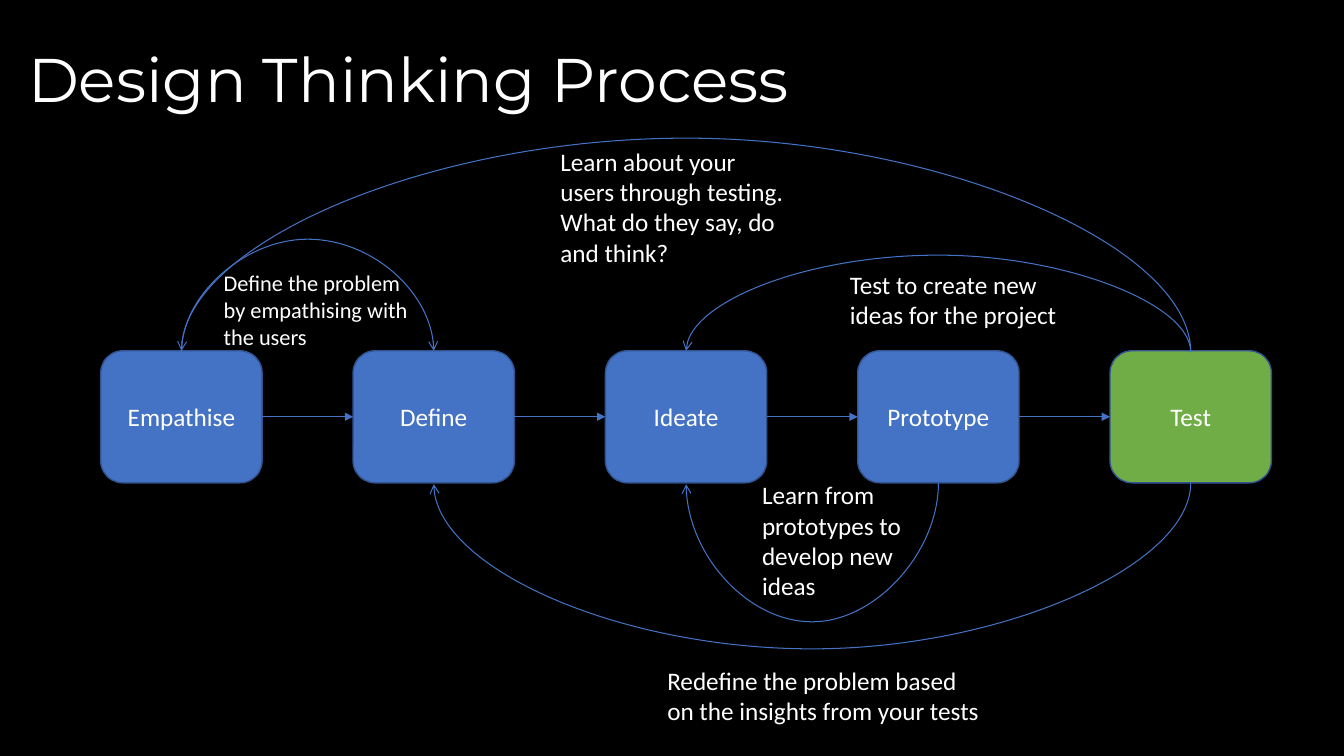
from lxml import etree
from pptx import Presentation
from pptx import util as u
from pptx.dml.color import RGBColor
from pptx.enum import shapes, text
from pptx.oxml import ns

PX = u.Inches(1) / 100
COLORS = {"black": "000000", "white": "FFFFFF", "blue": "4472C4",
          "green": "70AD47", "border": "325491"}

STAGES = ["Empathise", "Define", "Ideate", "Prototype", "Test"]
FIRST_LEFT, LAST_LEFT = 100, 1101
STAGE_TOP, STAGE_WIDTH, STAGE_HEIGHT = 348, 160, 131
TOP_SITE, LEFT_SITE, BOTTOM_SITE, RIGHT_SITE = range(4)
CURVE_THICKNESS = u.Pt(1)

# from stage, to stage, above the row, depth
LOOPS = [
    ("Empathise", "Define", True, 113),
    ("Test", "Empathise", True, 214),
    ("Test", "Ideate", True, 97),
    ("Prototype", "Ideate", False, 139),
    ("Test", "Define", False, 166),
]

# left, top, width, height, size, paragraphs
NOTES = [
    (546, 140, 250, 131, 18, ["Learn about your users through testing.",
                              "What do they say, do and think?"]),
    (833, 262, 232, 71, 18, ["Test to create new ideas for the project"]),
    (212, 262, 211, 91, 16, ["Define the problem by empathising with the users"]),
    (652, 655, 330, 71, 18,
     ["Redefine the problem based on the insights from your tests"]),
    (746, 471, 207, 131, 18, ["Learn from prototypes to develop new ideas"]),
]


def px(length):
    return u.Emu(round(length * PX))


def color(name):
    return RGBColor.from_string(COLORS[name])


def style(para, size, font="Calibri"):
    para.font.size = u.Pt(size)
    para.font.name = font
    para.font.color.rgb = color("white")


def add_text(page, left, top, width, height, size, lines, font="Calibri"):
    box = page.shapes.add_textbox(px(left), px(top), px(width), px(height))
    frame = box.text_frame
    frame.word_wrap = True
    frame.text = "\n".join(lines)
    for para in frame.paragraphs:
        style(para, size, font)
    return frame


def add_title(page, title):
    frame = add_text(page, 18, 9, 1150, 145, 44, [title], "Montserrat")
    frame.vertical_anchor = text.MSO_ANCHOR.MIDDLE
    frame.paragraphs[0].line_spacing = 0.9


def add_stage(page, index, name):
    left = FIRST_LEFT + index * (LAST_LEFT - FIRST_LEFT) / (len(STAGES) - 1)
    stage = page.shapes.add_shape(
        shapes.MSO_SHAPE.ROUNDED_RECTANGLE,
        px(left), px(STAGE_TOP), px(STAGE_WIDTH), px(STAGE_HEIGHT))
    stage.shadow.inherit = False
    stage.fill.solid()
    stage.fill.fore_color.rgb = color("green" if name == "Test" else "blue")
    stage.line.color.rgb = color("border")
    stage.line.width = u.Pt(1)
    stage.text_frame.vertical_anchor = text.MSO_ANCHOR.MIDDLE
    para = stage.text_frame.paragraphs[0]
    para.text = name
    para.alignment = text.PP_ALIGN.CENTER
    style(para, 18)
    return stage


def add_arrow(page, kind, start, start_site, end, end_site, width, head):
    arrow = page.shapes.add_connector(kind, 0, 0, 0, 0)
    arrow.begin_connect(start, start_site)
    arrow.end_connect(end, end_site)
    arrow.line.color.rgb = color("blue")
    arrow.line.width = u.Pt(width)
    properties = arrow.element.spPr
    line = properties.find(ns.qn("a:ln"))
    etree.SubElement(line, ns.qn("a:tailEnd"), type=head)
    etree.SubElement(properties, ns.qn("a:effectLst"))
    return arrow


def add_loop(page, start, end, above, depth):
    """Bow a curved arrow away from the row, by turning a thin connector on its side."""
    site = TOP_SITE if above else BOTTOM_SITE
    loop = add_arrow(page, shapes.MSO_CONNECTOR.CURVE,
                     start, site, end, site, 0.75, "arrow")
    span = abs(end.left - start.left)
    middle = (start.left + end.left + start.width) // 2
    edge = start.top if above else start.top + start.height
    loop.width, loop.height = CURVE_THICKNESS, span
    loop.left = middle - CURVE_THICKNESS // 2
    loop.top = edge + CURVE_THICKNESS // 2 - span // 2

    properties = loop.element.spPr
    frame = properties.find(ns.qn("a:xfrm"))
    leftward = end.left < start.left
    frame.set("rot", str((270 if above else 90) * 60000))
    frame.set("flipH", "0")
    frame.set("flipV", "1" if leftward == above else "0")
    guides = properties.find(ns.qn("a:prstGeom")).find(ns.qn("a:avLst"))
    bend = round(px(depth) / CURVE_THICKNESS * 100000)
    etree.SubElement(guides, ns.qn("a:gd"), name="adj1", fmla=f"val {bend}")


def main():
    deck = Presentation()
    deck.slide_width, deck.slide_height = px(1333), px(750)
    page = deck.slides.add_slide(deck.slide_layouts[6])
    page.background.fill.solid()
    page.background.fill.fore_color.rgb = color("black")

    add_title(page, "Design Thinking Process")
    stages = {name: add_stage(page, index, name)
              for index, name in enumerate(STAGES)}
    for start, end, above, depth in LOOPS:
        add_loop(page, stages[start], stages[end], above, depth)
    for note in NOTES:
        add_text(page, *note)
    for start, end in zip(STAGES, STAGES[1:]):
        add_arrow(page, shapes.MSO_CONNECTOR.STRAIGHT, stages[start], RIGHT_SITE,
                  stages[end], LEFT_SITE, 0.5, "triangle")
    deck.save("out.pptx")


if __name__ == "__main__":
    main()
